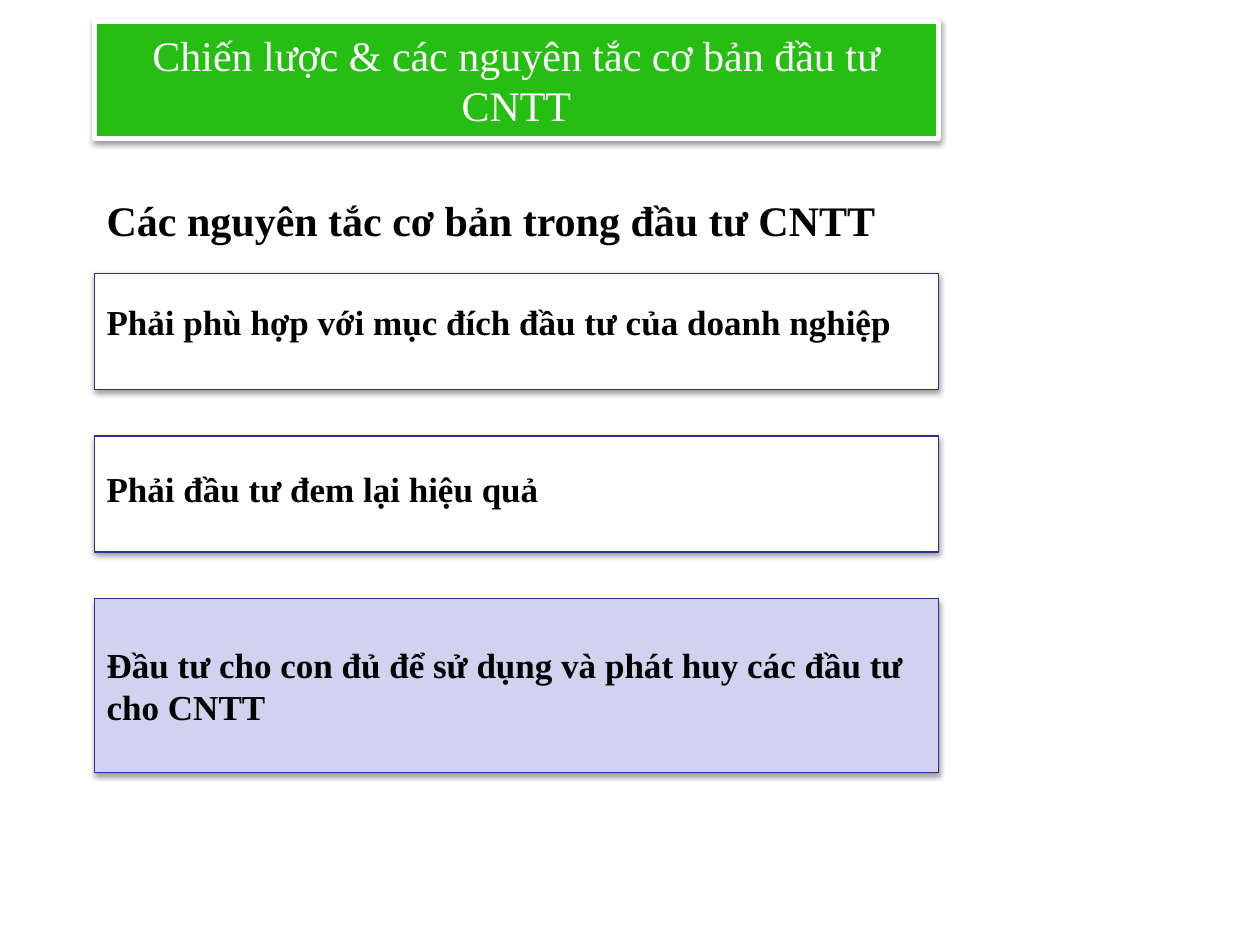
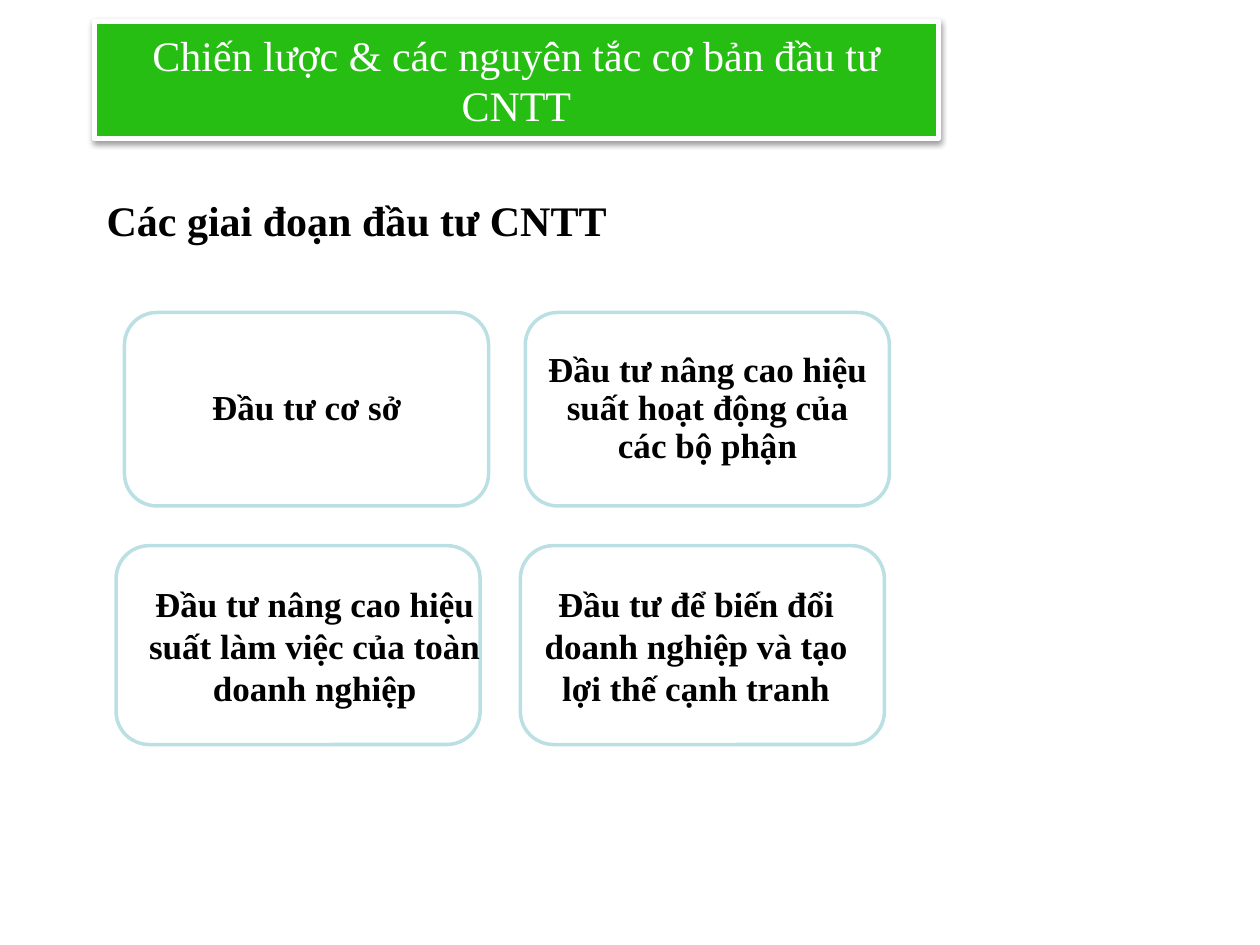
from lxml import etree
from pptx import Presentation
from pptx.dml.color import RGBColor
from pptx.enum.shapes import MSO_SHAPE
from pptx.enum.text import MSO_ANCHOR, PP_ALIGN
from pptx.oxml.ns import qn
from pptx.util import Cm, Pt

RECTANGLE, ROUNDED = MSO_SHAPE.RECTANGLE, MSO_SHAPE.ROUNDED_RECTANGLE
MIDDLE, BOTTOM = MSO_ANCHOR.MIDDLE, MSO_ANCHOR.BOTTOM
LEFT, CENTER = PP_ALIGN.LEFT, PP_ALIGN.CENTER

FONT = "Times New Roman"
WHITE, BLACK = "FFFFFF", "000000"
GREEN, NAVY, LAVENDER, AQUA = "26BE12", "2F2F98", "D1D1F0", "BBE0E3"

TITLE = "Chiến lược & các nguyên tắc cơ bản đầu tư CNTT"
PRINCIPLES_HEADING = "Các nguyên tắc cơ bản trong đầu tư CNTT"
PRINCIPLES = [
    {"text": "Phải phù hợp với mục đích đầu tư của doanh nghiệp",
     "height": 2.34, "fill": WHITE, "anchor": BOTTOM, "bottom": 0.94},
    {"text": "Phải đầu tư đem lại hiệu quả",
     "height": 2.34, "fill": WHITE, "anchor": BOTTOM, "bottom": 0.86},
    {"text": "Đầu tư cho con đủ để sử dụng và phát huy các đầu tư cho CNTT",
     "height": 3.5, "fill": LAVENDER, "anchor": MIDDLE, "bottom": 0.13},
]
STAGES_HEADING = "Các giai đoạn đầu tư CNTT"
STAGE_ROWS = [
    {"top": 6.3, "height": 3.9, "text_height": 3.52, "spacing": 0.9, "stages": [
        ("Đầu tư cơ sở", 2.51, 0.13),
        ("Đầu tư nâng cao hiệu suất hoạt động của các bộ phận", 10.59, 0.13),
    ]},
    {"top": 11, "height": 4.01, "text_height": 2.41, "spacing": 1.0, "stages": [
        ("Đầu tư nâng cao hiệu suất làm việc của toàn doanh nghiệp", 2.34, 0.46),
        ("Đầu tư để biến đổi doanh nghiệp và tạo lợi thế cạnh tranh", 10.49, 0),
    ]},
]

MARGIN, BAND_WIDTH = 1.9, 17.02
PRINCIPLES_TOP, PRINCIPLES_GAP = 5.51, 0.94
CARD_WIDTH, CARD_TEXT_WIDTH = 7.34, 7.09


def color(value):
    return RGBColor.from_string(value)


def add_drop_shadow(shape):
    effects = shape._element.spPr.find(qn("a:effectLst"))
    shadow = etree.SubElement(effects, qn("a:outerShdw"), blurRad=str(Pt(3.1)),
                              dist=str(Pt(1.6)), dir="5400000", rotWithShape="0")
    shade = etree.SubElement(shadow, qn("a:srgbClr"), val=BLACK)
    etree.SubElement(shade, qn("a:alpha"), val="38000")


def add_box(shapes, bounds, kind=RECTANGLE, fill=WHITE, line=WHITE, width=2,
            opacity=100, shadow=False):
    box = shapes.add_shape(kind, *map(Cm, bounds))
    box.shadow.inherit = False
    box.fill.solid()
    box.fill.fore_color.rgb = color(fill)
    box.line.color.rgb = color(line)
    box.line.width = Pt(width)
    if opacity < 100:
        tint = box._element.spPr.find(qn("a:solidFill"))[0]
        etree.SubElement(tint, qn("a:alpha"), val=str(opacity * 1000))
    if shadow:
        add_drop_shadow(box)
    return box


def write(box, text, size=20, ink=BLACK, bold=True, align=LEFT, anchor=MIDDLE,
          side=0.25, top=0.13, bottom=0.13, spacing=1.0):
    frame = box.text_frame
    frame.word_wrap = True
    frame.vertical_anchor = anchor
    frame.margin_left = frame.margin_right = Cm(side)
    frame.margin_top, frame.margin_bottom = Cm(top), Cm(bottom)
    para = frame.paragraphs[0]
    para.alignment = align
    para.line_spacing = spacing
    span = para.add_run()
    span.text = text
    span.font.name = FONT
    span.font.size = Pt(size)
    span.font.bold = bold
    span.font.color.rgb = color(ink)


def add_page(deck, heading):
    page = deck.slides.add_slide(deck.slide_layouts[6])
    heading_box = add_box(page.shapes, (MARGIN, 3.38, 16.51, 2.11))
    write(heading_box, heading, size=24)
    title_box = add_box(page.shapes, (MARGIN, 0.43, BAND_WIDTH, 2.36),
                        fill=GREEN, width=3, shadow=True)
    write(title_box, TITLE, size=24, ink=WHITE, bold=False, align=CENTER)
    return page


def add_principles(page):
    top = PRINCIPLES_TOP
    for principle in PRINCIPLES:
        height = principle["height"]
        box = add_box(page.shapes, (MARGIN, top, BAND_WIDTH, height),
                      fill=principle["fill"], line=NAVY, width=0.75, shadow=True)
        write(box, principle["text"], anchor=principle["anchor"],
              bottom=principle["bottom"])
        top += height + PRINCIPLES_GAP


def add_stages(page):
    for row in STAGE_ROWS:
        top, height, text_height = row["top"], row["height"], row["text_height"]
        text_top = top + (height - text_height) / 2
        for text, left, text_offset in row["stages"]:
            group = page.shapes.add_group_shape()
            add_box(group.shapes, (left, top, CARD_WIDTH, height), kind=ROUNDED,
                    line=AQUA, opacity=90)
            label = group.shapes.add_textbox(
                Cm(left + text_offset), Cm(text_top),
                Cm(CARD_TEXT_WIDTH), Cm(text_height))
            write(label, text, align=CENTER, side=0.2, top=0.2, bottom=0.2,
                  spacing=row["spacing"])


def main():
    deck = Presentation()
    deck.slide_width, deck.slide_height = Cm(25.4), Cm(19.05)
    add_principles(add_page(deck, PRINCIPLES_HEADING))
    add_stages(add_page(deck, STAGES_HEADING))
    deck.save("out.pptx")


if __name__ == "__main__":
    main()
